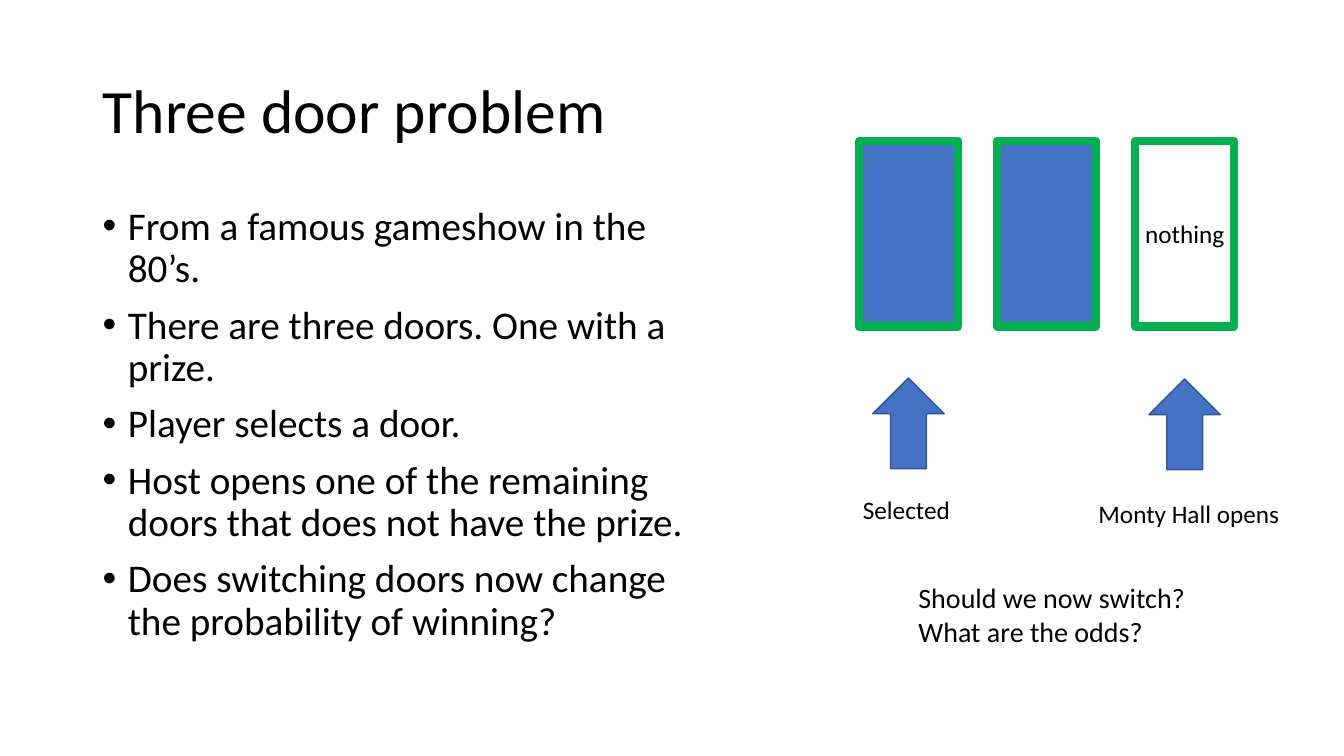
from pptx import Presentation
from pptx.dml.color import RGBColor
from pptx.enum.shapes import MSO_SHAPE
from pptx.enum.text import MSO_ANCHOR, PP_ALIGN
from pptx.oxml import parse_xml
from pptx.oxml.ns import nsdecls
from pptx.util import Inches, Pt

# Content
TITLE = "Three door problem"
POINTS = [
    "From a famous gameshow in the 80’s.",
    "There are three doors. One with a prize.",
    "Player selects a door.",
    "Host opens one of the remaining doors that does not have the prize.",
    "Does switching doors now change the probability of winning?",
]
ASK = ["Should we now switch?", "What are the odds?"]
LEFT, CENTER = PP_ALIGN.LEFT, PP_ALIGN.CENTER
LABELS = [  # text, box, alignment
    ("nothing", (11.26, 2.12, 1.02, 0.4), LEFT),
    ("Selected", (8.46, 4.85, 1.09, 0.4), LEFT),
    ("Monty Hall opens", (10.7, 4.89, 2.18, 0.4), CENTER),
]
DOORS = ["4472C4", "4472C4", None]
DOOR_X, DOOR_Y, DOOR_W, DOOR_H, STEP = 8.52, 1.4, 0.98, 1.84, 1.37
ARROWS = [(0, 3.75), (2, 3.76)]  # door number, top
ARROW_W, ARROW_H = 0.71, 0.9


def color(text):
    return RGBColor.from_string(text)


def add_run(para, text, size):
    run = para.add_run()
    run.text = text
    run.font.name = "Calibri"
    run.font.size = Pt(size)
    run.font.color.rgb = color("000000")


def add_text(lines, box, size, align=LEFT, wrap=True):
    frame = slide.shapes.add_textbox(*map(Inches, box)).text_frame
    frame.word_wrap = wrap
    for i, line in enumerate(lines):
        para = frame.add_paragraph() if i else frame.paragraphs[0]
        para.alignment = align
        add_run(para, line, size)
    return frame


def add_form(kind, box, fill, line, width):
    shape = slide.shapes.add_shape(kind, *map(Inches, box))
    shape.shadow.inherit = False
    if fill:
        shape.fill.solid()
        shape.fill.fore_color.rgb = color(fill)
    else:
        shape.fill.background()
    shape.line.color.rgb = color(line)
    shape.line.width = Pt(width)


deck = Presentation()
deck.slide_width, deck.slide_height = Inches(13.33), Inches(7.5)
slide = deck.slides.add_slide(deck.slide_layouts[5])

# Title
title = slide.shapes.title
title.left, title.top, title.width, title.height = map(
    Inches, (0.92, 0.4, 11.5, 1.45))
title.text_frame.vertical_anchor = MSO_ANCHOR.MIDDLE
head = title.text_frame.paragraphs[0]
head.alignment = LEFT
head.line_spacing = 0.9
add_run(head, TITLE, 44)

# Bullet points
body = add_text(POINTS, (0.92, 2, 6.11, 4.76), 28)
for i, para in enumerate(body.paragraphs):
    props = para._p.get_or_add_pPr()
    props.set("marL", str(Inches(0.25)))
    props.set("indent", str(-Inches(0.25)))
    props.append(parse_xml(f'<a:buFont {nsdecls("a")} typeface="Arial"/>'))
    props.append(parse_xml(f'<a:buChar {nsdecls("a")} char="•"/>'))
    para.line_spacing = 0.9
    para.space_before = Pt(10 if i else 0)

# Doors
for i, fill in enumerate(DOORS):
    add_form(MSO_SHAPE.RECTANGLE,
             (DOOR_X + i * STEP, DOOR_Y, DOOR_W, DOOR_H), fill, "00B050", 6)

# Arrows centred under their doors
for door, top in ARROWS:
    left = DOOR_X + door * STEP + (DOOR_W - ARROW_W) / 2
    add_form(MSO_SHAPE.UP_ARROW, (left, top, ARROW_W, ARROW_H),
             "4472C4", "325491", 1)

# Labels and closing question
for text, box, align in LABELS:
    add_text([text], box, 18, align, wrap=False)
add_text(ASK, (9.01, 5.71, 3.09, 0.77), 20)

deck.save("out.pptx")
